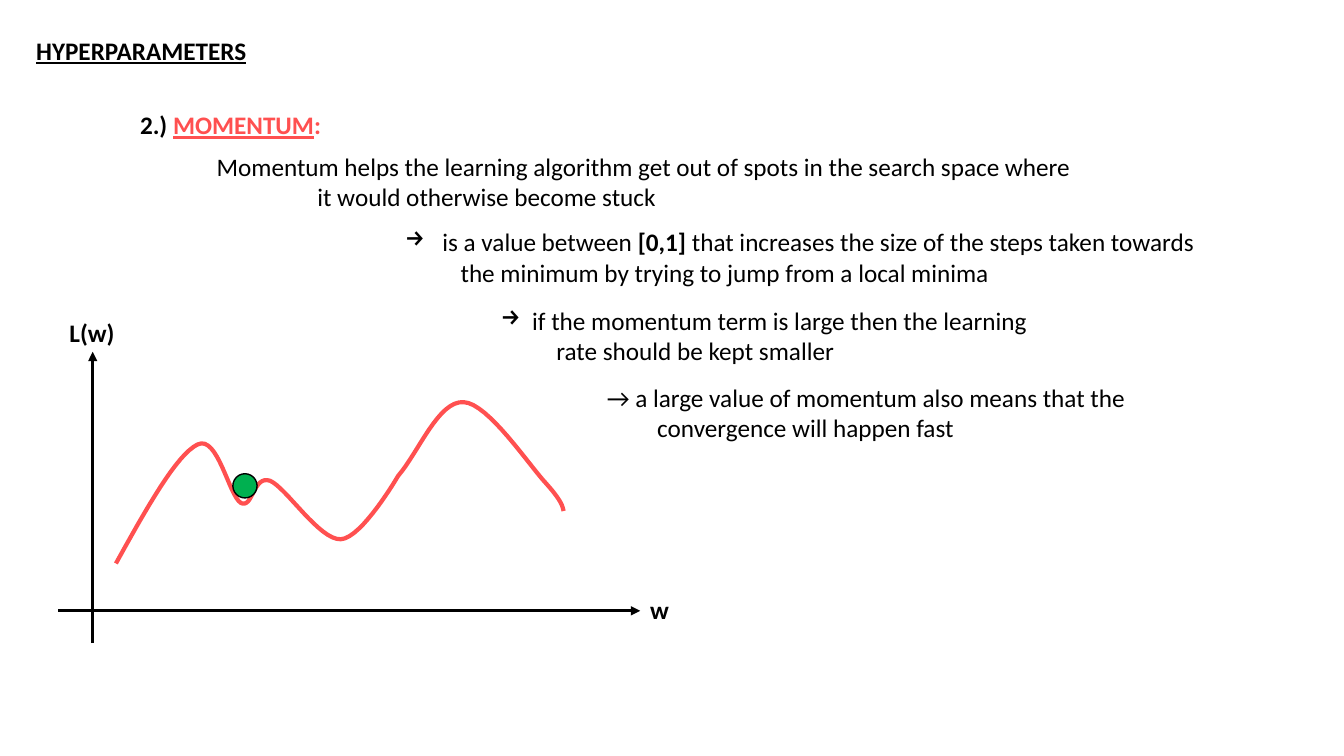
import pptx
import pptx.dml.color
import pptx.enum.shapes
import pptx.enum.text
import pptx.oxml
import pptx.oxml.ns
import pptx.util
from pptx.util import Inches

COLORS = {"ink": "000000", "accent": "FF5050", "ball": "00B050"}

LOSS_START = (1.15, 5.59)
LOSS_CURVE = [  # two control points and an end point per segment
    ((1.45, 5.05), (1.75, 4.51), (1.96, 4.41)),
    ((2.16, 4.31), (2.27, 4.92), (2.39, 4.99)),
    ((2.51, 5.05), (2.51, 4.71), (2.68, 4.77)),
    ((2.84, 4.84), (3.17, 5.36), (3.38, 5.35)),
    ((3.59, 5.34), (3.95, 4.72), (3.95, 4.72)),
    ((4.15, 4.49), (4.35, 3.97), (4.6, 3.99)),
    ((4.84, 4), (5.25, 4.62), (5.42, 4.8)),
    ((5.58, 4.98), (5.58, 5.03), (5.59, 5.07)),
]


def rgb(name):
    return pptx.dml.color.RGBColor.from_string(COLORS[name])


def add_xml(parent, tag, **attrs):
    child = pptx.oxml.parse_xml(f"<a:{tag} {pptx.oxml.ns.nsdecls('a')}/>")
    for key, value in attrs.items():
        child.set(key, value)
    parent.append(child)


def bezier_point(points, t):
    weights = ((1 - t) ** 3, 3 * t * (1 - t) ** 2, 3 * t * t * (1 - t), t ** 3)
    return tuple(sum(w * p[axis] for w, p in zip(weights, points)) for axis in (0, 1))


class SlideBuilder:
    font, size = "Calibri", 18

    def __init__(self, slide):
        self.s = slide

    def set_line(self, line, color, width):
        line.color.rgb = rgb(color)
        line.width = pptx.util.Pt(width)

    def text(self, left, top, width, height, *paragraphs):
        """Each paragraph is (runs, left margin, bullet); each run (text, style, color)."""
        box = self.s.shapes.add_textbox(*map(Inches, (left, top, width, height)))
        tf = box.text_frame
        tf.word_wrap = False
        tf.auto_size = pptx.enum.text.MSO_AUTO_SIZE.SHAPE_TO_FIT_TEXT
        for i, (runs, margin, bullet) in enumerate(paragraphs):
            p = tf.add_paragraph() if i else tf.paragraphs[0]
            if margin:
                pPr = p._p.get_or_add_pPr()
                pPr.set("marL", str(Inches(margin)))
                pPr.set("indent", str(-Inches(margin) if bullet else 0))
                if bullet:
                    add_xml(pPr, "buChar", char=bullet)
            for content, style, color in runs:
                r = p.add_run()
                r.text = content
                r.font.name = self.font
                r.font.size = pptx.util.Pt(self.size)
                r.font.bold = "b" in style
                r.font.underline = "u" in style
                r.font.color.rgb = rgb(color)

    def label(self, left, top, width, *runs):
        self.text(left, top, width, 0.4, (runs, 0, None))

    def note(self, left, top, width, height, first, second, indent, margin=0, bullet=None):
        """Two lines of plain text, the second indented."""
        self.text(left, top, width, height, (first, margin, bullet),
                  ([(second, "", "ink")], indent, None))

    def axis(self, x1, y1, x2, y2):
        line = self.s.shapes.add_connector(
            pptx.enum.shapes.MSO_CONNECTOR.STRAIGHT, *map(Inches, (x1, y1, x2, y2)))
        self.set_line(line.line, "ink", 2.25)
        add_xml(line.line._get_or_add_ln(), "tailEnd", type="triangle")
        add_xml(line._element.spPr, "effectLst")

    def curve(self, start, segments, color, steps=16):
        points, last = [], start
        for segment in segments:
            points += [bezier_point((last, *segment), i / steps)
                       for i in range(1, steps + 1)]
            last = segment[-1]
        builder = self.s.shapes.build_freeform(*map(Inches, start))
        builder.add_line_segments([tuple(map(Inches, pt)) for pt in points], close=False)
        sp = builder.convert_to_shape()
        sp.shadow.inherit = False
        sp.fill.background()
        self.set_line(sp.line, color, 3)

    def circle(self, left, top, diameter, color):
        sp = self.s.shapes.add_shape(
            pptx.enum.shapes.MSO_SHAPE.OVAL,
            *map(Inches, (left, top, diameter, diameter)))
        sp.shadow.inherit = False
        sp.fill.solid()
        sp.fill.fore_color.rgb = rgb(color)
        self.set_line(sp.line, "ink", 1)


def main():
    prs = pptx.Presentation()
    prs.slide_width, prs.slide_height = Inches(13.33), Inches(7.5)
    s = SlideBuilder(prs.slides.add_slide(prs.slide_layouts[6]))

    s.axis(0.92, 6.38, 0.92, 3.49)
    s.axis(0.58, 6.06, 6.35, 6.06)
    s.curve(LOSS_START, LOSS_CURVE, "accent")
    s.label(6.35, 5.85, 0.39, ("w", "b", "ink"))
    s.label(0.59, 3.1, 0.65, ("L(w)", "b", "ink"))
    s.circle(2.31, 4.7, 0.24, "ball")

    s.label(1.29, 1.04, 2.01, ("2.) ", "b", "ink"),
            ("MOMENTUM", "bu", "accent"), (":", "b", "accent"))
    s.note(2.05, 1.45, 8.83, 0.71,
           [("Momentum helps the learning algorithm get out of spots "
             "in the search space where", "", "ink")],
           "it would otherwise become stuck", 1)
    s.label(0.26, 0.3, 2.31, ("HYPERPARAMETERS", "bu", "ink"))
    s.note(3.92, 2.2, 8.1, 0.71,
           [("is a value between ", "", "ink"), ("[0,1] ", "b", "ink"),
            ("that increases the size of the steps taken towards", "", "ink")],
           "the minimum by trying to jump from a local minima", 0.55, 0.37, "→")
    s.note(4.87, 2.98, 5.49, 1.31,
           [("if the momentum term is large then the learning", "", "ink")],
           "rate should be kept smaller", 0.55, 0.31, "→")
    s.note(5.92, 3.74, 5.48, 1.01,
           [("→ a large value of momentum also means that the", "", "ink")],
           "convergence will happen fast", 0.5)

    prs.save("out.pptx")


if __name__ == "__main__":
    main()
